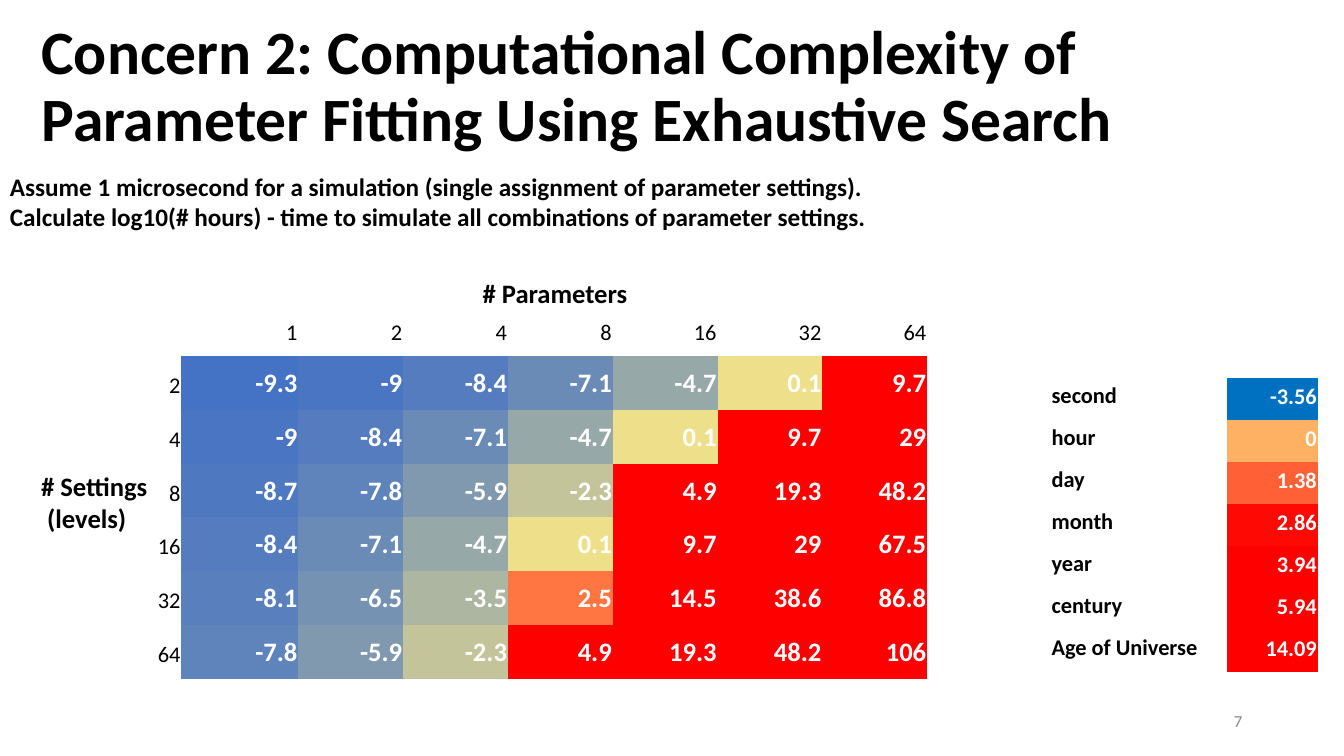
import math

from lxml import etree
from pptx import Presentation
from pptx import util as u
from pptx.dml.color import RGBColor
from pptx.enum import text
from pptx.oxml.ns import qn

WIDTH, HEIGHT = u.Inches(13.33), u.Inches(7.5)
FONT = "Calibri"
BLACK = RGBColor(0, 0, 0)
WHITE = RGBColor(255, 255, 255)
GREY = RGBColor(0x88, 0x88, 0x88)
BLUE = RGBColor(0x44, 0x72, 0xC4)
YELLOW = RGBColor(0xFF, 0xEB, 0x84)
RED = RGBColor(255, 0, 0)
SECOND_BLUE = RGBColor(0x00, 0x70, 0xC0)
PLAIN_TABLE = "{2D5ABB26-0587-4C30-8999-92F81FD0307C}"

POWERS = (1, 2, 4, 8, 16, 32, 64)
LEVELS = POWERS[1:]
DURATIONS = (("second", -3.56), ("hour", 0), ("day", 1.38), ("month", 2.86),
             ("year", 3.94), ("century", 5.94), ("Age of Universe", 14.09))


def across(percent):
    """Return a share of the slide width."""
    return u.Emu(round(WIDTH * percent / 100))


def down(percent):
    """Return a share of the slide height."""
    return u.Emu(round(HEIGHT * percent / 100))


def blend(start, end, share):
    """Mix two colours, holding the share between 0 and 1."""
    share = min(max(share, 0), 1)
    return RGBColor(*(a + int((b - a) * share) for a, b in zip(start, end)))


def search_colour(hours, lowest):
    """Shade log hours from blue through yellow at 1 to red at 4."""
    if hours < 1:
        return blend(BLUE, YELLOW, (hours - lowest) / (1 - lowest))
    return blend(YELLOW, RED, (hours - 1) / 3)


def duration_colour(hours):
    """Shade log hours from yellow at -1 to red at 3, blue below."""
    return SECOND_BLUE if hours < -1 else blend(YELLOW, RED, (hours + 1) / 4)


def log_hours(levels, parameters):
    """Return log10 of the hours for an exhaustive search at 1 microsecond each."""
    return round(parameters * math.log10(levels) - math.log10(3600e6), 1)


def style(p, size, colour=BLACK, bold=True, align=text.PP_ALIGN.LEFT):
    """Set the font and alignment of a paragraph."""
    p.font.name, p.font.size, p.font.bold = FONT, u.Pt(size), bold
    p.font.color.rgb = colour
    p.alignment = align


def add_label(s, x, y, w, h, lines, size):
    """Add a bold text box with one paragraph per line."""
    tf = s.shapes.add_textbox(across(x), down(y), across(w), down(h)).text_frame
    tf.word_wrap = True
    tf.margin_left = tf.margin_right = tf.margin_top = tf.margin_bottom = u.Inches(0.1)
    tf.text = "\n".join(lines)
    for p in tf.paragraphs:
        style(p, size)


def add_title(s, wording):
    """Place and format the title placeholder."""
    sp = s.shapes.title
    sp.left, sp.top, sp.width, sp.height = across(2.33), down(2), across(94.75), down(19.33)
    tf = sp.text_frame
    tf.text = wording
    tf.auto_size = text.MSO_AUTO_SIZE.NONE
    tf.vertical_anchor = text.MSO_ANCHOR.MIDDLE
    style(tf.paragraphs[0], 44)
    tf.paragraphs[0].line_spacing = 0.9


def add_plain_table(s, x, y, widths, row_height, rows):
    """Add an unstyled table with the given column widths."""
    table = s.shapes.add_table(rows, len(widths), across(x), down(y),
                               across(sum(widths)), down(row_height * rows)).table
    table.first_row = table.horz_banding = False
    table._tbl.tblPr.find(qn("a:tableStyleId")).text = PLAIN_TABLE
    for column, width in zip(table.columns, widths):
        column.width = across(width)
    for row in table.rows:
        row.height = down(row_height)
    return table


def fill_cell(cell, value, size, colour=BLACK, bold=True, fill=None, number=True):
    """Write one table cell, right aligned if it is a number."""
    cell.text = f"{value:g}" if number else value
    cell.vertical_anchor = text.MSO_ANCHOR.BOTTOM
    cell.margin_left = cell.margin_right = cell.margin_top = u.Inches(0.01)
    cell.margin_bottom = u.Inches(0.1)
    p = cell.text_frame.paragraphs[0]
    style(p, size, colour, bold, text.PP_ALIGN.RIGHT if number else text.PP_ALIGN.LEFT)
    if number:
        p.line_spacing = 1.15
    if fill is None:
        cell.fill.background()
    else:
        cell.fill.solid()
        cell.fill.fore_color.rgb = fill


def add_search_table(s):
    """Add the heat map of search times by levels and parameters."""
    table = add_plain_table(s, 3.75, 40, [9.75, 8.7] + [7.8] * 6, 7.11, len(LEVELS) + 1)
    lowest = log_hours(LEVELS[0], POWERS[0])
    for column, parameters in enumerate(POWERS, 1):
        fill_cell(table.cell(0, column), parameters, 16, bold=False)
    for row, levels in enumerate(LEVELS, 1):
        fill_cell(table.cell(row, 0), levels, 16, bold=False)
        for column, parameters in enumerate(POWERS, 1):
            hours = log_hours(levels, parameters)
            fill_cell(table.cell(row, column), hours, 19, WHITE,
                      fill=search_colour(hours, lowest))


def add_duration_table(s):
    """Add the reference table of familiar durations."""
    table = add_plain_table(s, 78.17, 50, [13.13, 6.75], 5.33, len(DURATIONS))
    for row, (name, hours) in enumerate(DURATIONS):
        fill_cell(table.cell(row, 0), name, 16, number=False)
        fill_cell(table.cell(row, 1), hours, 16, WHITE, fill=duration_colour(hours))


def add_slide_number(s, number):
    """Add the slide number as a field at the lower right."""
    tf = s.shapes.add_textbox(across(70.67), down(92.67), across(22.5), down(5.33)).text_frame
    tf.word_wrap = True
    tf.vertical_anchor = text.MSO_ANCHOR.MIDDLE
    p = tf.paragraphs[0]
    p.alignment = text.PP_ALIGN.RIGHT
    r = p.add_run()
    r.text = str(number)
    r.font.size, r.font.name = u.Pt(12), FONT
    r.font.color.rgb = GREY
    field = etree.Element(qn("a:fld"), type="slidenum",
                          id="{B6F15528-21DE-4FAA-801E-634DDDAF4B2B}")
    r._r.addprevious(field)
    field.extend(list(r._r))
    p._p.remove(r._r)


def main():
    """Build and save the slide."""
    prs = Presentation()
    prs.slide_width, prs.slide_height = WIDTH, HEIGHT
    prs.element.set("firstSlideNum", "7")
    s = prs.slides.add_slide(prs.slide_layouts[5])
    add_title(s, "Concern 2: Computational Complexity of Parameter Fitting Using Exhaustive Search")
    add_label(s, 35.18, 35.33, 17.4, 6.93, ["# Parameters"], 19)
    add_label(s, 2.33, 60.8, 9.75, 11.2, ["# Settings", " (levels)"], 19)
    add_label(s, 0, 21.33, 70.3, 10.8, [
        "Assume 1 microsecond for a simulation (single assignment of parameter settings).",
        "Calculate log10(# hours) - time to simulate all combinations of parameter settings.",
    ], 18)
    add_search_table(s)
    add_duration_table(s)
    add_slide_number(s, 7)
    prs.save("out.pptx")


if __name__ == "__main__":
    main()
